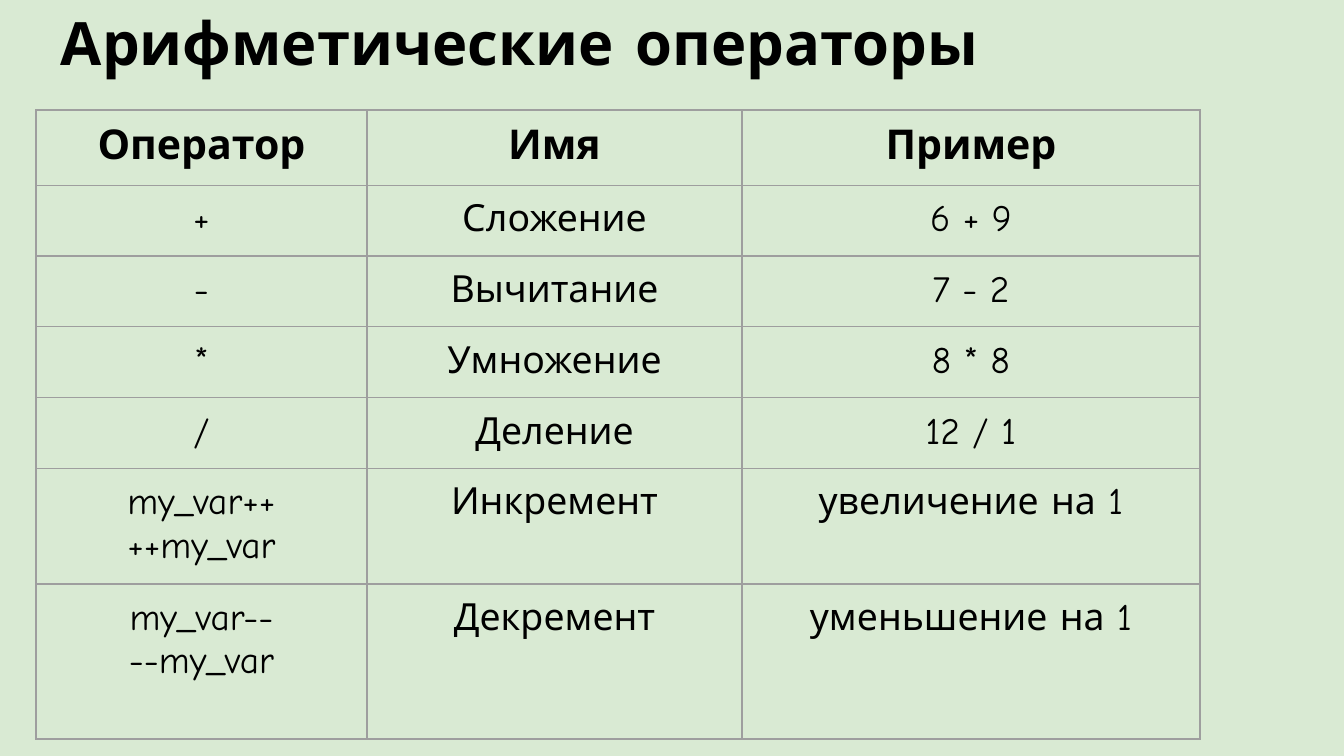
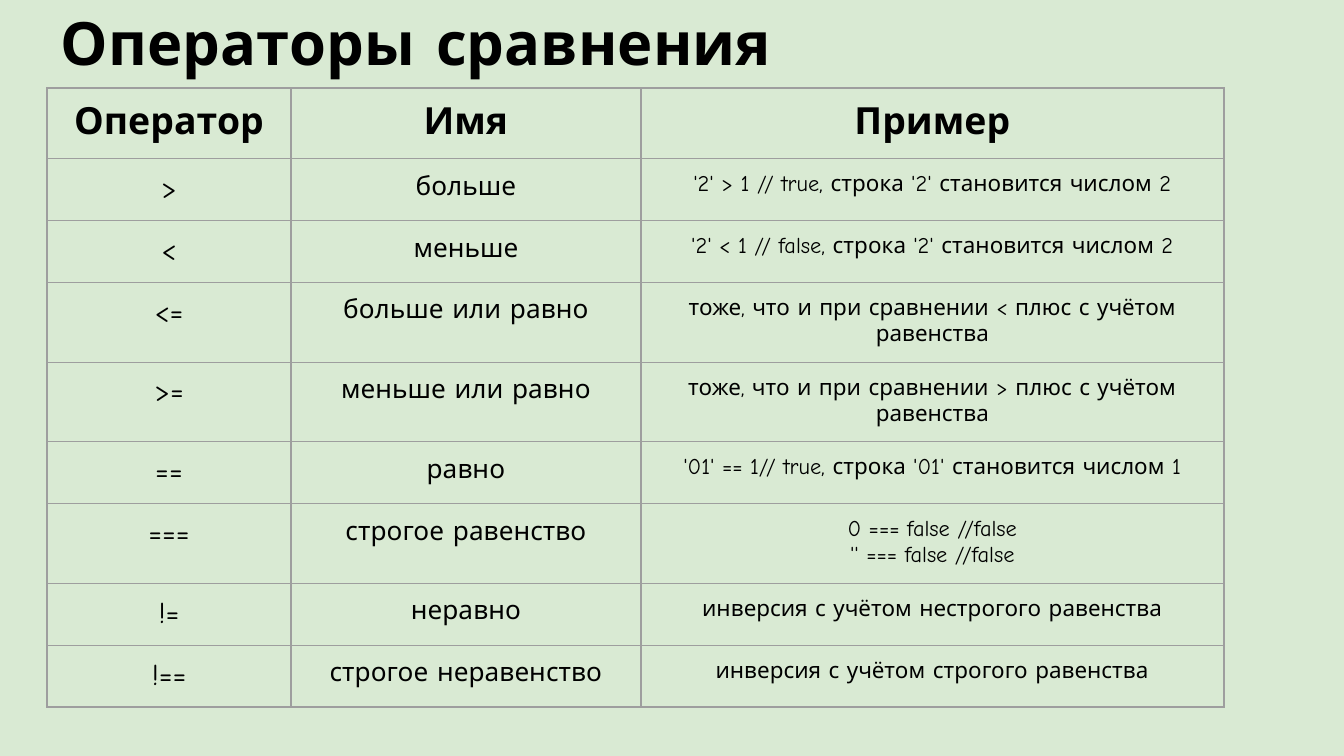
from dataclasses import dataclass

from lxml.etree import SubElement
from pptx import Presentation
from pptx.dml.color import RGBColor as Color
from pptx.enum.text import MSO_ANCHOR as Anchor, PP_ALIGN as Align
from pptx.oxml.ns import qn
from pptx.util import Emu, Pt


@dataclass(frozen=True)
class Theme:
    font: str = "Comic Neue"
    background: str = "D9EAD3"
    text: str = "000000"
    border: str = "9E9E9E"
    border_width: float = 0.75
    title_size: int = 32
    inset: int = 13


THEME = Theme()
SLIDE_SIZE = (1344, 756)
TITLE_BOX = (48, 11, 1215, 62)
HEADER = ("Оператор", "Имя", "Пример")

# Content: each row is its height and its cells; a line break starts a paragraph
SLIDES = [
    {
        "title": "Арифметические операторы",
        "corner": (36, 110),
        "columns": (331, 375, 458),
        "header_size": 22,
        "column_sizes": (20, 20, 20),
        "rows": [
            (74, HEADER),
            (70, ("+", "Сложение", "6 + 9")),
            (70, ("-", "Вычитание", "7 - 2")),
            (70, ("*", "Умножение", "8 * 8")),
            (70, ("/", "Деление", "12 / 1")),
            (113, ("my_var++\n++my_var", "Инкремент", "увеличение на 1")),
            (155, ("my_var--\n--my_var", "Декремент", "уменьшение на 1")),
        ],
    },
    {
        "title": "Операторы сравнения",
        "corner": (47, 88),
        "columns": (244, 350, 583),
        "header_size": 20,
        "column_sizes": (16, 14, 12),
        "rows": [
            (70, HEADER),
            (61, (">", "больше", "'2' > 1 // true, строка '2' становится числом 2")),
            (61, ("<", "меньше", "'2' < 1 // false, строка '2' становится числом 2")),
            (78, ("<=", "больше или равно",
                  "тоже, что и при сравнении < плюс с учётом равенства")),
            (78, (">=", "меньше или равно",
                  "тоже, что и при сравнении > плюс с учётом равенства")),
            (61, ("==", "равно", "'01' == 1// true, строка '01' становится числом 1")),
            (78, ("===", "строгое равенство",
                  "0 === false //false\n'' === false //false")),
            (61, ("!=", "неравно", "инверсия с учётом нестрогого равенства")),
            (61, ("!==", "строгое неравенство", "инверсия с учётом строгого равенства")),
        ],
    },
]


def px(length):
    return Emu(round(length * 914400 / 134.4))


def set_insets(target):
    for side in ("left", "top", "right", "bottom"):
        setattr(target, f"margin_{side}", px(THEME.inset))


def write(frame, text, size, bold, align):
    frame.word_wrap = True
    for index, line in enumerate(text.split("\n")):
        paragraph = frame.add_paragraph() if index else frame.paragraphs[0]
        paragraph.alignment = align
        run = paragraph.add_run()
        run.text = line
        run.font.name = THEME.font
        run.font.size = Pt(size)
        run.font.bold = bold
        run.font.color.rgb = Color.from_string(THEME.text)


def add_borders(cell):
    properties = cell._tc.get_or_add_tcPr()
    for side in ("lnL", "lnR", "lnT", "lnB"):
        line = SubElement(properties, qn(f"a:{side}"), w=str(Pt(THEME.border_width)))
        fill = SubElement(line, qn("a:solidFill"))
        SubElement(fill, qn("a:srgbClr"), val=THEME.border)


def add_title(slide, title):
    frame = slide.shapes.add_textbox(*map(px, TITLE_BOX)).text_frame
    set_insets(frame)
    frame.vertical_anchor = Anchor.MIDDLE
    write(frame, title, THEME.title_size, True, Align.LEFT)


def add_operator_table(slide, content):
    rows, columns = content["rows"], content["columns"]
    size = (sum(columns), sum(height for height, _ in rows))
    table = slide.shapes.add_table(
        len(rows), len(columns), *map(px, content["corner"] + size)).table
    table.first_row = table.horz_banding = False
    for column, width in zip(table.columns, columns):
        column.width = px(width)

    for row_index, (height, texts) in enumerate(rows):
        table.rows[row_index].height = px(height)
        is_header = row_index == 0
        for column_index, text in enumerate(texts):
            cell = table.cell(row_index, column_index)
            set_insets(cell)
            add_borders(cell)
            cell.fill.background()
            text_size = (content["header_size"] if is_header
                         else content["column_sizes"][column_index])
            write(cell.text_frame, text, text_size, is_header, Align.CENTER)


def main():
    presentation = Presentation()
    presentation.slide_width, presentation.slide_height = map(px, SLIDE_SIZE)
    blank = presentation.slide_layouts[6]
    for content in SLIDES:
        slide = presentation.slides.add_slide(blank)
        background = slide.background.fill
        background.solid()
        background.fore_color.rgb = Color.from_string(THEME.background)
        add_title(slide, content["title"])
        add_operator_table(slide, content)
    presentation.save("out.pptx")


if __name__ == "__main__":
    main()
